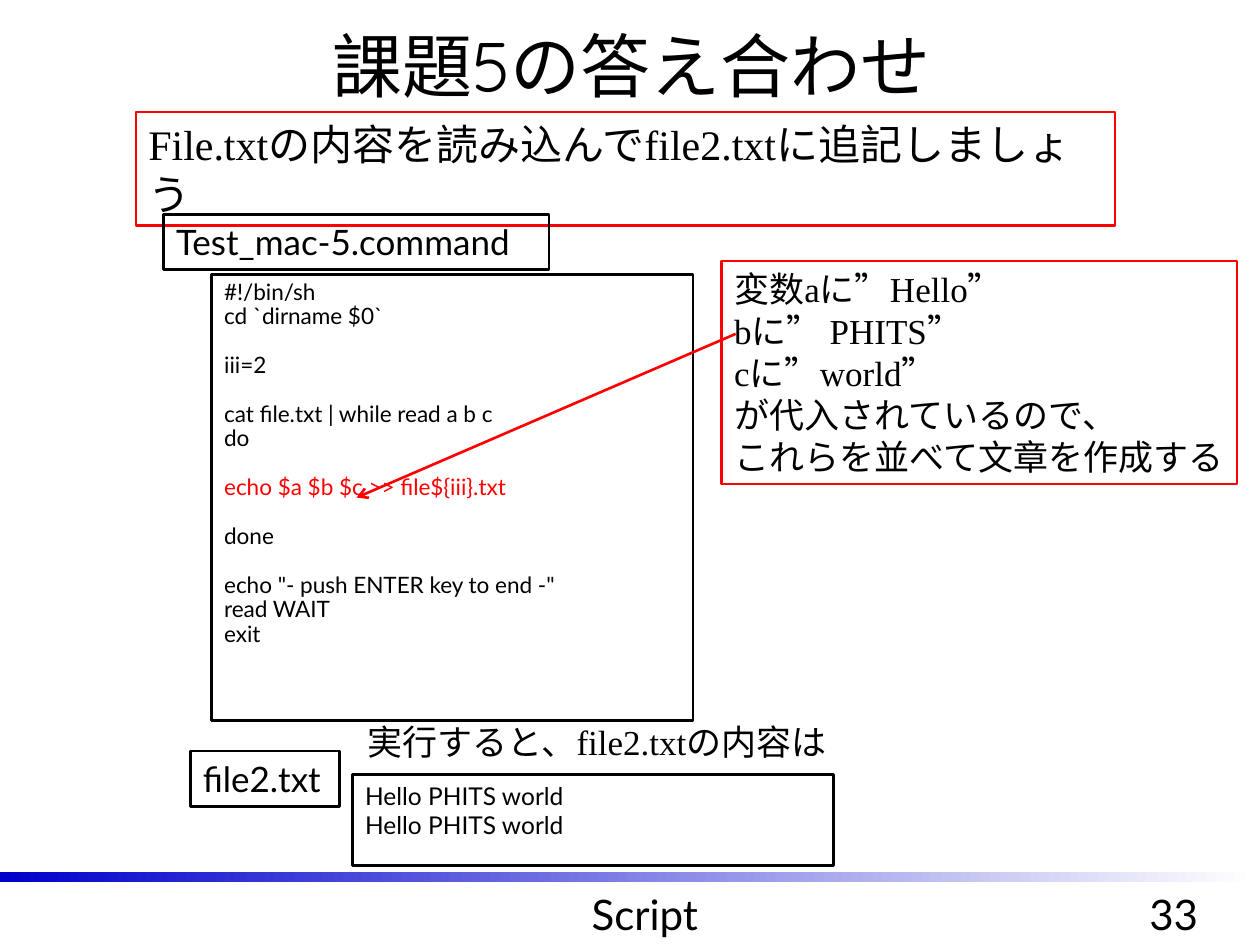
from lxml import etree
from pptx import Presentation
from pptx import util as u
from pptx.dml.color import RGBColor
from pptx.enum import shapes, text
from pptx.oxml.ns import qn

BLACK = RGBColor(0x00, 0x00, 0x00)
WHITE = RGBColor(0xFF, 0xFF, 0xFF)
RED = RGBColor(0xFF, 0x00, 0x00)
BLUE = RGBColor(0x00, 0x00, 0xCC)
SANS, SERIF, TITLE = "Lato", "Times New Roman", "Quicksand"
LEFT, CENTER = text.PP_ALIGN.LEFT, text.PP_ALIGN.CENTER

CODE = [
    ["#!/bin/sh", "cd `dirname $0`"],
    ["iii=2"],
    ["cat file.txt | while read a b c", "do"],
    ["echo $a $b $c >> file${iii}.txt"],
    ["done"],
    ['echo "- push ENTER key to end -"', "read WAIT", "exit"],
]
RED_BLOCK = 3
VARIABLES = [
    "変数aに”Hello”",
    "bに” PHITS”",
    "cに”world”",
    "が代入されているので、",
    "これらを並べて文章を作成する",
]


class SlideBuilder:
    line_width = u.Pt(1.5)

    def __init__(self, slide):
        self.slide = slide

    def rect(self, x, y, w, h):
        sp = self.slide.shapes.add_shape(
            shapes.MSO_SHAPE.RECTANGLE, u.Cm(x), u.Cm(y), u.Cm(w), u.Cm(h))
        sp.shadow.inherit = False
        return sp

    def gradient_bar(self, x, y, w, h, start, end):
        sp = self.rect(x, y, w, h)
        sp.line.fill.background()
        sp.fill.gradient()
        sp.fill.gradient_angle = 0
        for stop, position, color in zip(sp.fill.gradient_stops, (0, 1), (start, end)):
            stop.position = position
            stop.color.rgb = color

    def set_text(self, sp, lines, size, font, align=LEFT, wrap=True, grow=False):
        tf = sp.text_frame
        tf.word_wrap = wrap
        tf.vertical_anchor = text.MSO_ANCHOR.TOP
        if grow:
            tf.auto_size = text.MSO_AUTO_SIZE.SHAPE_TO_FIT_TEXT
        for i, line in enumerate(lines):
            p = tf.add_paragraph() if i else tf.paragraphs[0]
            p.text = line
            p.alignment = align
            p.font.size = u.Pt(size)
            p.font.name = font
            p.font.color.rgb = BLACK
        return tf

    def label(self, x, y, w, h, line, size, font, **style):
        sp = self.slide.shapes.add_textbox(u.Cm(x), u.Cm(y), u.Cm(w), u.Cm(h))
        return self.set_text(sp, [line], size, font, **style)

    def box(self, x, y, w, h, lines, size, font, border=BLACK, fill=None, **style):
        sp = self.rect(x, y, w, h)
        if fill is None:
            sp.fill.background()
        else:
            sp.fill.solid()
            sp.fill.fore_color.rgb = fill
        sp.line.color.rgb = border
        sp.line.width = self.line_width
        return self.set_text(sp, lines, size, font, **style)

    def code_box(self, x, y, w, h, blocks, size, red_block):
        lines = [line for block in blocks for line in block]
        tf = self.box(x, y, w, h, lines, size, SANS, fill=WHITE)
        paragraphs = iter(tf.paragraphs)
        for i, block in enumerate(blocks):
            for j in range(len(block)):
                p = next(paragraphs)
                p.line_spacing = 0.9
                if i and j == 0:
                    p.space_before = u.Pt(14)
                if i == red_block:
                    p.font.color.rgb = RED

    def arrow(self, x1, y1, x2, y2, color):
        cxn = self.slide.shapes.add_connector(
            shapes.MSO_CONNECTOR.STRAIGHT, u.Cm(x1), u.Cm(y1), u.Cm(x2), u.Cm(y2))
        cxn.line.color.rgb = color
        cxn.line.width = self.line_width
        sp_pr = cxn.element.spPr
        etree.SubElement(sp_pr.find(qn("a:ln")), qn("a:tailEnd"), type="arrow")
        etree.SubElement(sp_pr, qn("a:effectLst"))


def main():
    prs = Presentation()
    prs.slide_width, prs.slide_height = u.Cm(25.4), u.Cm(19.05)
    s = SlideBuilder(prs.slides.add_slide(prs.slide_layouts[6]))

    s.gradient_bar(0, 17.58, 25.3, 0.2, BLUE, WHITE)
    s.label(22.66, 17.78, 2, 1.27, "33", 24, SANS, align=CENTER)
    s.label(9.1, 17.78, 7.8, 1.27, "Script", 24, SANS, align=CENTER)
    s.box(2.74, 2.26, 19.74, 2.29, ["File.txtの内容を読み込んでfile2.txtに追記しましょう"],
          24, SERIF, border=RED, grow=True)
    title = s.label(5.03, -0.28, 15.4, 3.18, "課題5の答え合わせ", 40, TITLE, align=CENTER)
    title.vertical_anchor = text.MSO_ANCHOR.MIDDLE

    fitted = {"wrap": False, "grow": True}
    s.box(3.3, 4.32, 7.77, 1.12, ["Test_mac-5.command"], 20, SANS, **fitted)
    s.code_box(4.27, 5.54, 9.7, 8.99, CODE, 12.9, RED_BLOCK)
    s.arrow(14.83, 6.73, 7.19, 10.03, RED)
    s.box(14.55, 5.26, 10.39, 4.5, VARIABLES, 20, SERIF, border=RED, **fitted)

    s.label(7.16, 14.4, 10.13, 1.12, "実行すると、file2.txtの内容は", 20, SERIF, **fitted)
    s.box(3.84, 15.14, 3, 1.12, ["file2.txt"], 20, SANS, **fitted)
    s.box(7.11, 15.62, 9.7, 1.83, ["Hello PHITS world"] * 2, 14, SANS, fill=WHITE)

    prs.save("out.pptx")


if __name__ == "__main__":
    main()
